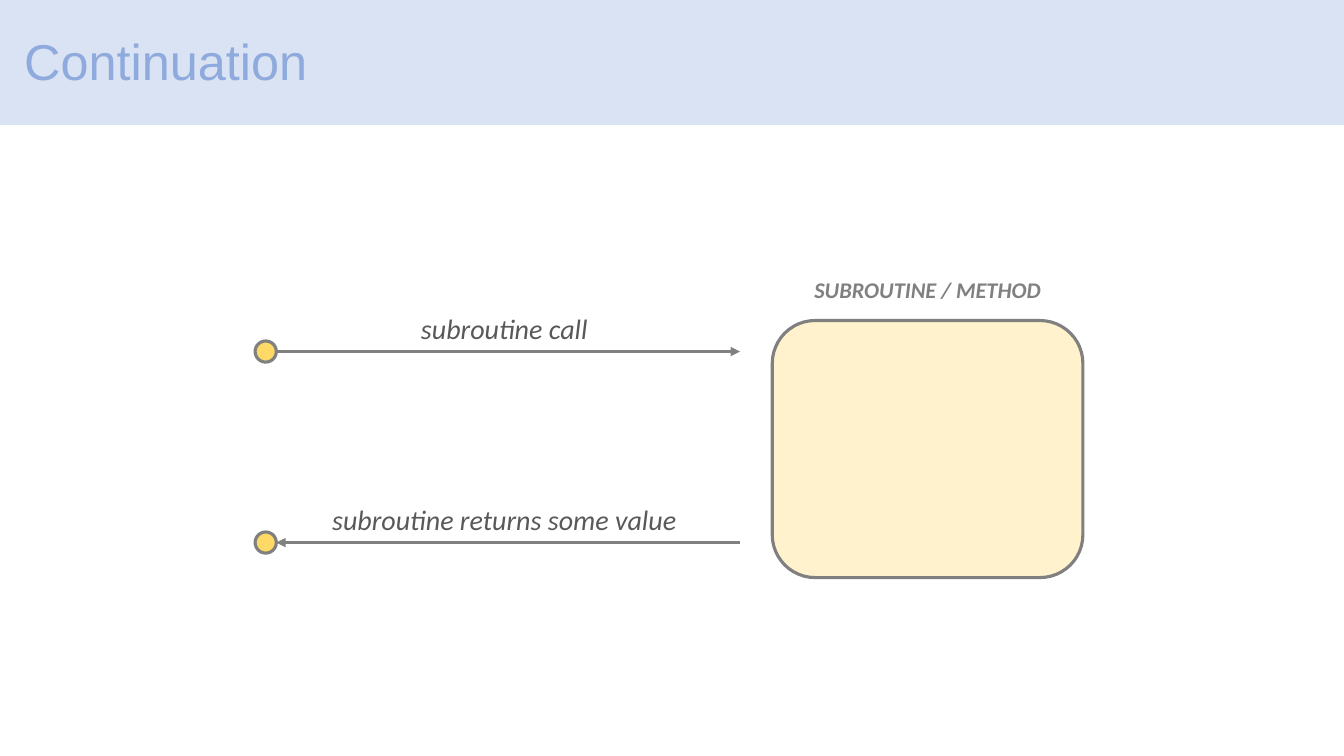
import pptx
import pptx.util
import pptx.dml.color
import pptx.enum.shapes
import pptx.enum.text
import pptx.oxml
import pptx.oxml.ns
from dataclasses import dataclass

SHAPE = pptx.enum.shapes.MSO_SHAPE
TEXT = pptx.enum.text


@dataclass
class Theme:
    """Colours, fonts and sizes of the slide."""
    band: str = "DAE3F3"
    title: str = "8FAADC"
    white: str = "FFFFFF"
    line: str = "808080"
    dot: str = "FFD966"
    box: str = "FFF2CC"
    label: str = "595959"
    head: str = "Arial"
    body: str = "Calibri"
    big: int = 36
    mid: int = 20
    small: int = 16
    edge: float = 2.25
    thin: float = 1


class Board:
    """Draws on one slide, with lengths in percent of its width and height."""

    def __init__(self, deck, theme):
        """Add a title-only slide to the deck."""
        self.deck, self.theme = deck, theme
        self.slide = deck.slides.add_slide(deck.slide_layouts[5])
        self.shapes = self.slide.shapes

    def place(self, x, y, w, h):
        """Turn percents into slide lengths."""
        wide, high = self.deck.slide_width, self.deck.slide_height
        return [round(part * full / 100) for part, full in
                zip((x, y, w, h), (wide, high, wide, high))]

    def paint(self, color, hue):
        """Set a colour from its hex code."""
        color.rgb = pptx.dml.color.RGBColor.from_string(hue)

    def style(self, para, face, size, hue, bold=False, slant=False):
        """Format every run of a paragraph."""
        for run in para.runs:
            font = run.font
            font.name, font.size = face, pptx.util.Pt(size)
            font.bold, font.italic = bold, slant
            self.paint(font.color, hue)

    def stroke(self, line, hue, width):
        """Set the colour and width of a line."""
        line.fill.solid()
        self.paint(line.fill.fore_color, hue)
        line.width = pptx.util.Pt(width)

    def title(self, words, *area):
        """Place and format the slide title."""
        item = self.shapes.title
        item.left, item.top, item.width, item.height = self.place(*area)
        frame = item.text_frame
        frame.text = words
        frame.vertical_anchor = TEXT.MSO_ANCHOR.MIDDLE
        para = frame.paragraphs[0]
        para.alignment = TEXT.PP_ALIGN.LEFT
        para.line_spacing = 0.9
        self.style(para, self.theme.head, self.theme.big, self.theme.title)

    def shape(self, kind, fill, hue, width, *area):
        """Add a filled and outlined shape."""
        item = self.shapes.add_shape(kind, *self.place(*area))
        item.shadow.inherit = False
        item.fill.solid()
        self.paint(item.fill.fore_color, fill)
        self.stroke(item.line, hue, width)
        return item

    def band(self, *area):
        """Add the header band behind the title."""
        look = self.theme
        item = self.shape(SHAPE.RECTANGLE, look.band, look.white, look.thin, *area)
        self.shapes.title._element.addprevious(item._element)

    def label(self, words, size, hue, bold, *area):
        """Add a centred italic line of text."""
        frame = self.shapes.add_textbox(*self.place(*area)).text_frame
        frame.text = words
        frame.word_wrap = False
        frame.auto_size = TEXT.MSO_AUTO_SIZE.SHAPE_TO_FIT_TEXT
        para = frame.paragraphs[0]
        para.alignment = TEXT.PP_ALIGN.CENTER
        self.style(para, self.theme.body, size, hue, bold, True)

    def arrow(self, start, end, y):
        """Add a level arrow that points at its end."""
        x, top, stop, _ = self.place(start, y, end, 0)
        item = self.shapes.add_connector(
            pptx.enum.shapes.MSO_CONNECTOR.STRAIGHT, x, top, stop, top)
        self.stroke(item.line, self.theme.line, self.theme.edge)
        space = pptx.oxml.ns.nsdecls("a")
        item.line._get_or_add_ln().append(
            pptx.oxml.parse_xml(f'<a:tailEnd {space} type="triangle"/>'))
        item._element.spPr.append(pptx.oxml.parse_xml(f"<a:effectLst {space}/>"))

    def dot(self, x, y, w, h):
        """Add a round end point centred on x and y."""
        look = self.theme
        self.shape(SHAPE.OVAL, look.dot, look.line, look.edge,
                   x - w / 2, y - h / 2, w, h)


def main():
    """Build and save the slide."""
    deck = pptx.Presentation()
    deck.slide_width = pptx.util.Inches(13.33)
    deck.slide_height = pptx.util.Inches(7.5)
    look = Theme()
    board = Board(deck, look)
    board.title("Continuation", 1.05, -1.2, 94.75, 19.33)
    board.band(-1.05, -0.53, 101.8, 17.2)

    near, far, mid = 20.56, 55.06, 37.53
    calls = (("subroutine call", 46.5, 14.03, near, far),
             ("subroutine returns some value", 71.77, 27.3, far, near))
    for words, y, wide, start, end in calls:
        board.arrow(start, end, y)
        board.dot(19.77, y, 1.58, 2.8)
        board.label(words, look.mid, look.label, False,
                    mid - wide / 2, y - 5.9, wide, 5.87)

    left, top, wide, high = 57.46, 42.4, 23.11, 34
    board.shape(SHAPE.ROUNDED_RECTANGLE, look.box, look.line, look.edge,
                left, top, wide, high)
    board.label("SUBROUTINE / METHOD", look.small, look.line, True,
                left, top - 6.53, wide, 4.93)
    deck.save("out.pptx")


if __name__ == "__main__":
    main()
